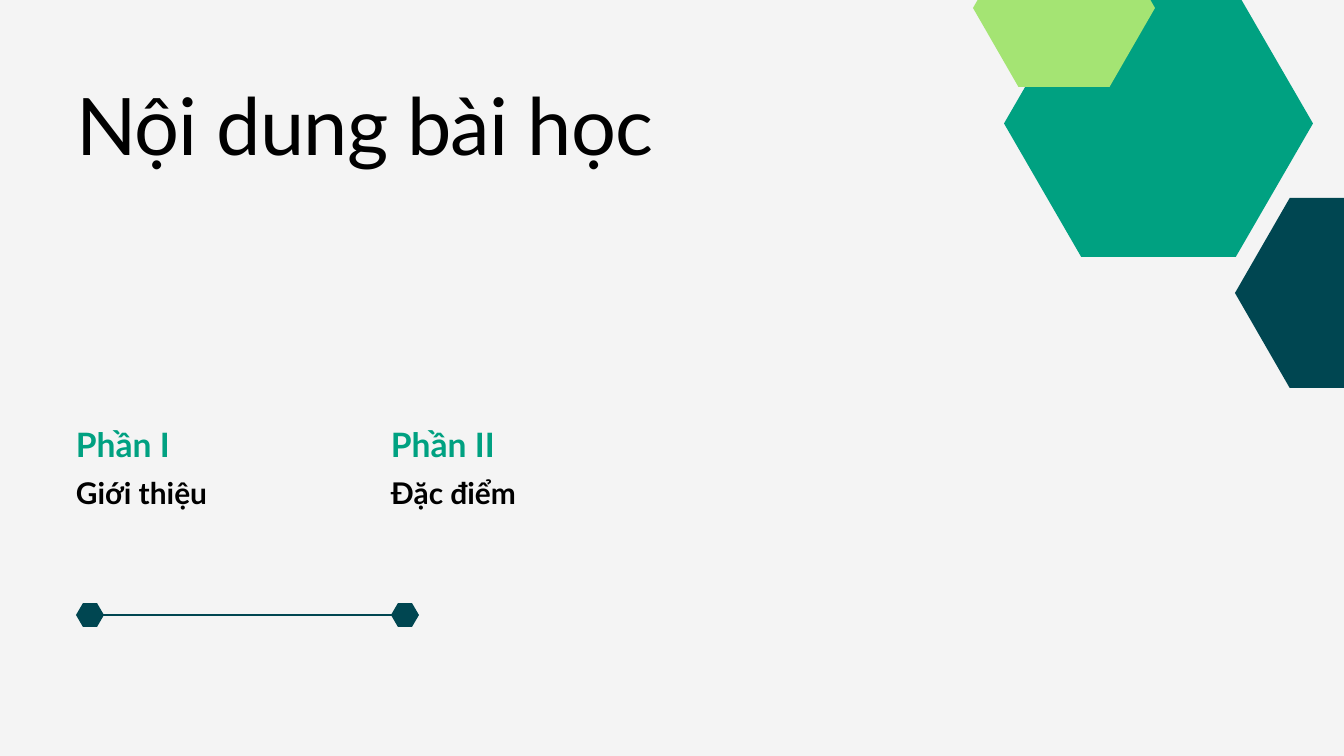
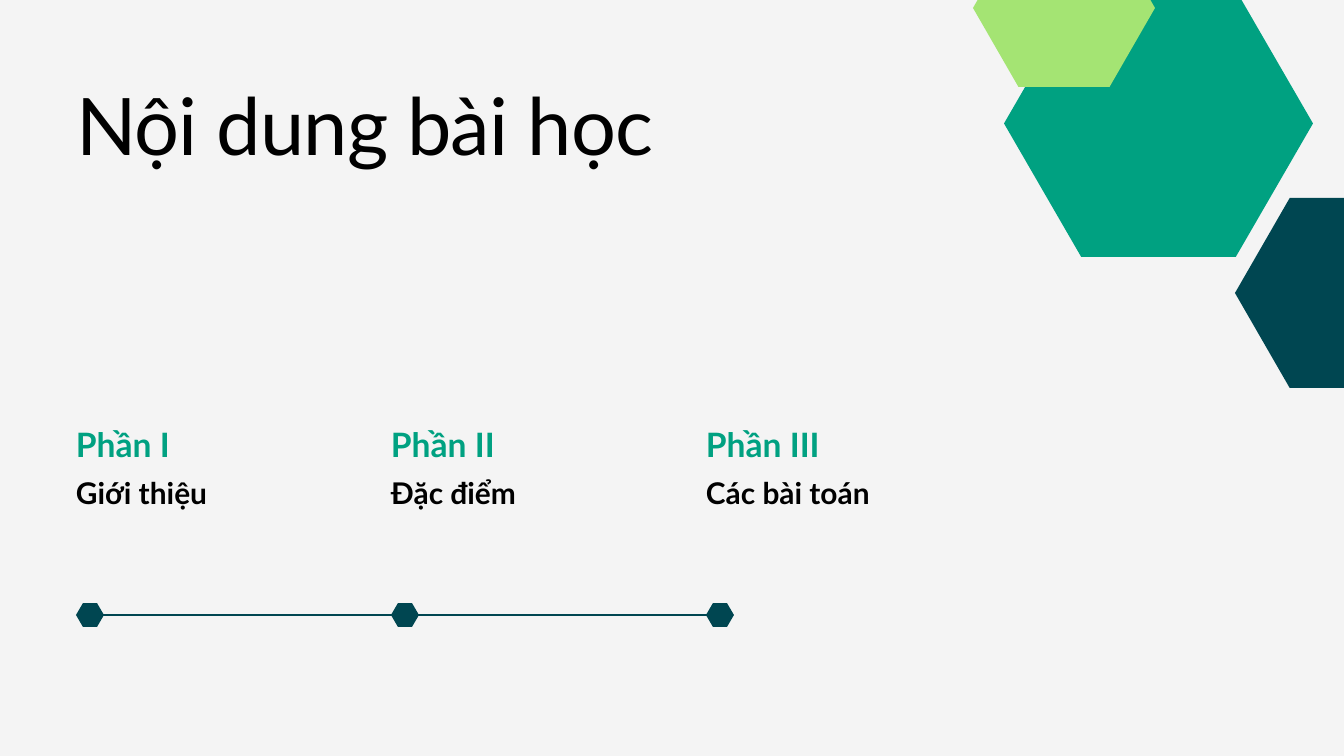
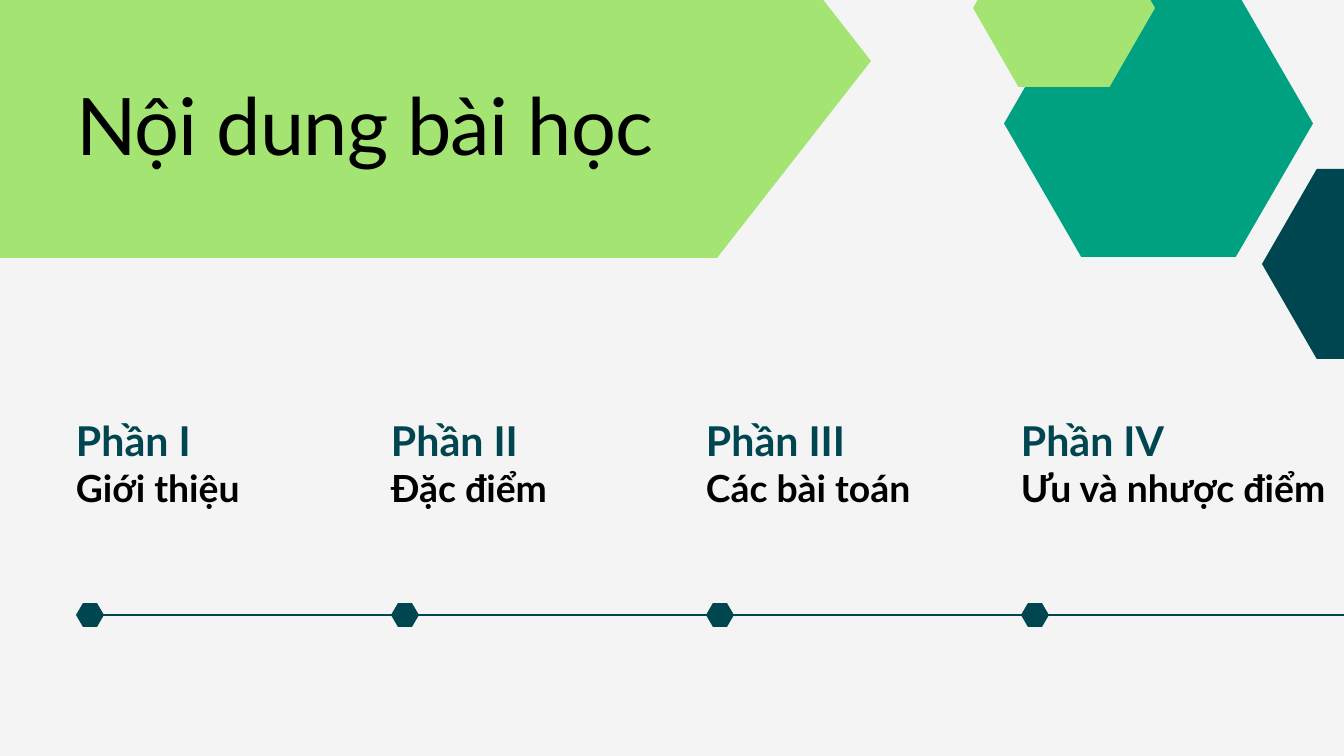
from lxml.etree import SubElement
from pptx import Presentation
from pptx.dml.color import RGBColor
from pptx.enum.shapes import MSO_CONNECTOR
from pptx.enum.text import MSO_AUTO_SIZE
from pptx.oxml.ns import qn
from pptx.util import Emu, Pt

SCALE = 914400 / 67.2
SLIDE_WIDTH, SLIDE_HEIGHT = 1344, 756

PAPER, BLACK = "F4F4F4", "000000"
DARK, TEAL, LIME = "004651", "00A181", "A4E473"
FONT = "Lato"

TITLE = "Nội dung bài học"
SECTIONS = [
    ("Phần I", "Giới thiệu"),
    ("Phần II", "Đặc điểm"),
    ("Phần III", "Các bài toán"),
    ("Phần IV", "Ưu và nhược điểm"),
]
MARGIN, SECTION_STEP, SECTION_WIDTH = 76, 315, 247
LABEL_TOP, TOPIC_TOP = 424, 484
TIMELINE_Y, MARKER_WIDTH, MARKER_HEIGHT = 615, 28, 24

TITLE_STYLE = {"size": Pt(85), "bold": False}
SMALL_LABEL = {"size": Pt(36), "bold": True}
SMALL_TOPIC = {"size": Pt(32), "bold": True}
LARGE_LABEL = {"size": Pt(44), "bold": True}
LARGE_TOPIC = {"size": Pt(40), "bold": True}


def px(length):
    """Turn picture pixels into EMU."""
    return Emu(round(length * SCALE))


def color(hex_code):
    """Turn a hex string into a colour."""
    return RGBColor.from_string(hex_code)


def add_text(slide, text, box, style, hex_code, leading, tracking=None):
    """Add one line of text with exact leading (points)."""
    textbox = slide.shapes.add_textbox(*map(px, box))
    frame = textbox.text_frame
    frame_format = {
        "word_wrap": True, "auto_size": MSO_AUTO_SIZE.SHAPE_TO_FIT_TEXT,
        "margin_left": 0, "margin_top": 0,
        "margin_right": 0, "margin_bottom": 0,
    }
    for name, value in frame_format.items():
        setattr(frame, name, value)
    paragraph = frame.paragraphs[0]
    paragraph.line_spacing = Pt(leading)
    run = paragraph.add_run()
    run.text = text
    for name, value in {"name": FONT, **style}.items():
        setattr(run.font, name, value)
    run.font.color.rgb = color(hex_code)
    if tracking is not None:
        run.font._element.set("spc", str(round(tracking * 100)))


def add_hexagon(slide, left, top, width, height, hex_code, inset=None):
    """Add a hexagon pointing left and right; inset is the depth of a point."""
    if inset is None:
        inset = width / 4
    right, bottom, middle = left + width, top + height, top + height / 2
    builder = slide.shapes.build_freeform(px(right), px(middle))
    corners = [
        (right - inset, bottom), (left + inset, bottom), (left, middle),
        (left + inset, top), (right - inset, top),
    ]
    builder.add_line_segments([(px(x), px(y)) for x, y in corners], close=True)
    hexagon = builder.convert_to_shape()
    hexagon.shadow.inherit = False
    hexagon.fill.solid()
    hexagon.fill.fore_color.rgb = color(hex_code)
    hexagon.line.fill.background()


def add_timeline_axis(slide, end):
    """Draw the timeline from the first marker to the given x."""
    start = MARGIN + MARKER_WIDTH / 2
    axis = slide.shapes.add_connector(
        MSO_CONNECTOR.STRAIGHT,
        px(start), px(TIMELINE_Y), px(end), px(TIMELINE_Y))
    axis.line.color.rgb = color(DARK)
    axis.line.width = Pt(1.5)
    SubElement(axis._element.spPr, qn("a:effectLst"))


def add_section(slide, index, label_style, topic_style, label_color):
    """Add a section's label, its topic and its timeline marker."""
    label, topic = SECTIONS[index]
    left = MARGIN + index * SECTION_STEP
    topic_width = SLIDE_WIDTH - left if index == 3 else SECTION_WIDTH
    add_text(slide, label, (left, LABEL_TOP, SECTION_WIDTH, 41),
             label_style, label_color, 43.2)
    add_text(slide, topic, (left, TOPIC_TOP, topic_width, 28),
             topic_style, BLACK, 28)
    add_hexagon(slide, left, TIMELINE_Y - MARKER_HEIGHT / 2,
                MARKER_WIDTH, MARKER_HEIGHT, DARK)


def add_corner(slide, dark_left, dark_top):
    """Add the hexagon cluster in the upper right corner."""
    add_hexagon(slide, dark_left, dark_top, 219, 190, DARK)
    add_hexagon(slide, 1004, -10, 309, 267, TEAL)
    add_hexagon(slide, 973, -71, 182, 158, LIME)


def add_agenda(presentation, count, final=False):
    """Add an agenda slide showing the first sections."""
    slide = presentation.slides.add_slide(presentation.slide_layouts[6])
    last_marker = MARGIN + (count - 1) * SECTION_STEP + MARKER_WIDTH / 2
    if final:
        add_hexagon(slide, -226, -136, 1097, 394, LIME, inset=154)
    add_timeline_axis(slide, SLIDE_WIDTH if final else last_marker)
    styles = ((LARGE_LABEL, LARGE_TOPIC, DARK) if final
              else (SMALL_LABEL, SMALL_TOPIC, TEAL))
    for index in range(count):
        add_section(slide, index, *styles)
    add_text(slide, TITLE, (MARGIN, 76, 597, 93), TITLE_STYLE, BLACK,
             102, tracking=-0.8)
    add_corner(slide, *((1262, 169) if final else (1235, 198)))


def main():
    """Build the three agenda slides."""
    presentation = Presentation()
    presentation.slide_width = px(SLIDE_WIDTH)
    presentation.slide_height = px(SLIDE_HEIGHT)
    background = presentation.slide_master.background.fill
    background.solid()
    background.fore_color.rgb = color(PAPER)
    add_agenda(presentation, 2)
    add_agenda(presentation, 3)
    add_agenda(presentation, 4, final=True)
    presentation.save("out.pptx")


main()
